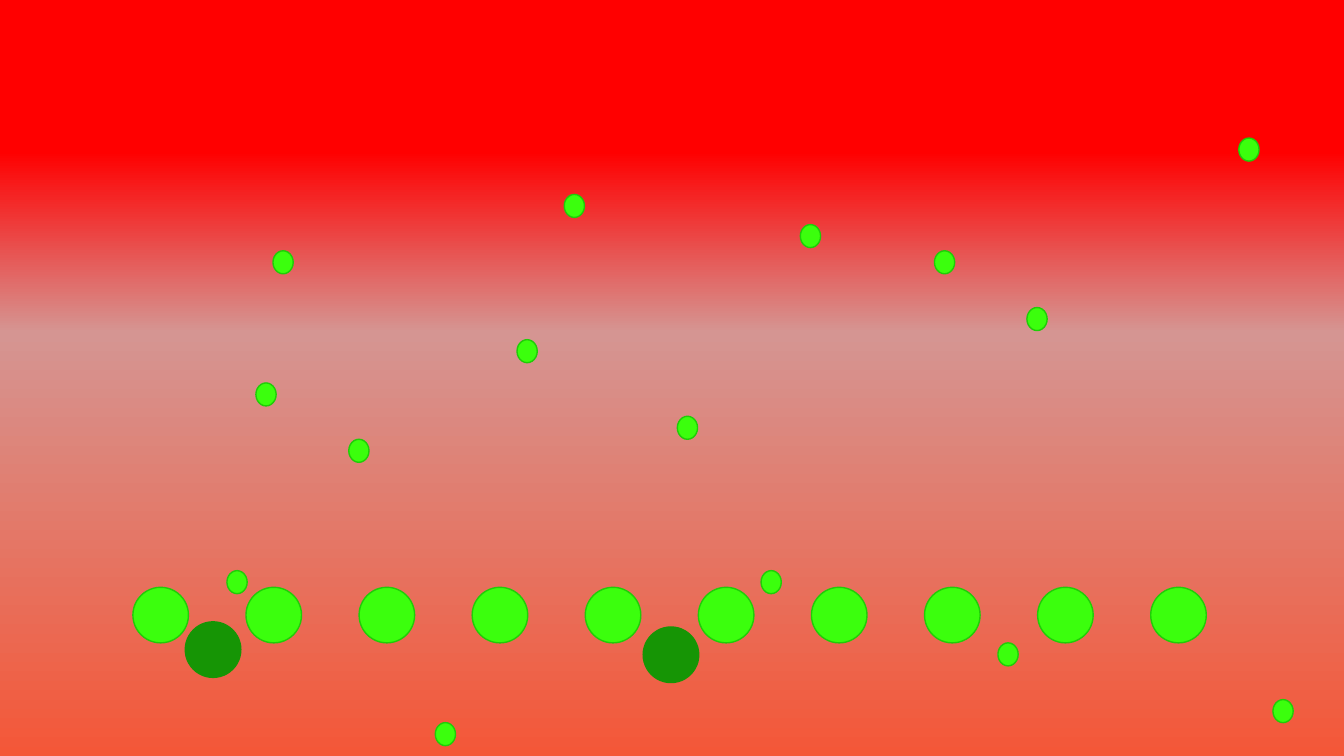
from copy import deepcopy

from pptx import Presentation
from pptx.dml.color import RGBColor
from pptx.enum import shapes
from pptx.oxml import ns
from pptx.util import Cm, Pt

LIGHT_GREEN, EDGE_GREEN, DARK_GREEN = "3BFF0D", "1FCD07", "169505"
BIG_SIZE = (1.4, 1.4)
DOT_SIZE = (0.51, 0.58)


def color(hex_string):
    return RGBColor.from_string(hex_string)


def add_circle(left, top, size, fill, line):
    shape = slide.shapes.add_shape(
        shapes.MSO_SHAPE.OVAL, Cm(left), Cm(top), Cm(size[0]), Cm(size[1]))
    shape.shadow.inherit = False
    shape.fill.solid()
    shape.fill.fore_color.rgb = color(fill)
    shape.line.color.rgb = color(line)
    shape.line.width = Pt(1)


presentation = Presentation()
presentation.slide_width = Cm(33.87)
presentation.slide_height = Cm(19.05)
slide = presentation.slides.add_slide(presentation.slide_layouts[6])

# Background: three-stop gradient running from top to bottom
background = slide.background.fill
background.gradient()
background.gradient_angle = 270
stop_list = next(slide.element.iter(ns.qn("a:gsLst")))
stop_list.append(deepcopy(stop_list[-1]))
background_stops = [(0.2, "FF0000"), (0.44, "D59592"), (1, "F45738")]
for stop, (position, hex_string) in zip(background.gradient_stops, background_stops):
    stop.position = position
    stop.color.rgb = color(hex_string)

# Row of ten large circles
for column in range(10):
    add_circle(3.35 + 2.85 * column, 14.8, BIG_SIZE, LIGHT_GREEN, EDGE_GREEN)

# Two dark circles
for left, top in [(4.67, 15.67), (16.21, 15.8)]:
    add_circle(left, top, BIG_SIZE, DARK_GREEN, DARK_GREEN)

# Scattered small dots
dots = [
    (25.15, 16.2), (5.72, 14.38), (19.18, 14.38), (6.88, 6.32), (31.22, 3.48),
    (14.22, 4.9), (20.17, 5.66), (13.03, 8.56), (17.07, 10.49), (23.55, 6.32),
    (25.88, 7.75), (6.45, 9.65), (8.79, 11.07), (10.97, 18.21), (32.08, 17.63),
]
for left, top in dots:
    add_circle(left, top, DOT_SIZE, LIGHT_GREEN, EDGE_GREEN)

presentation.save("out.pptx")
